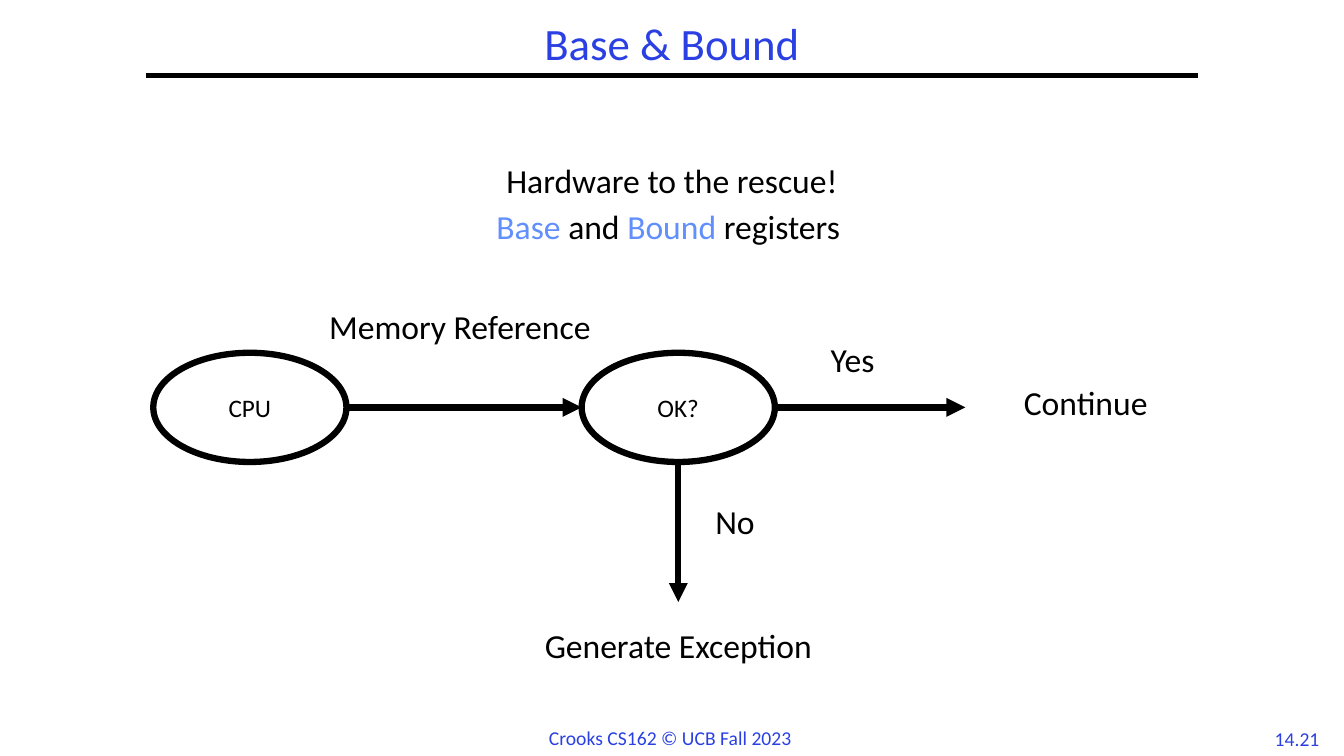
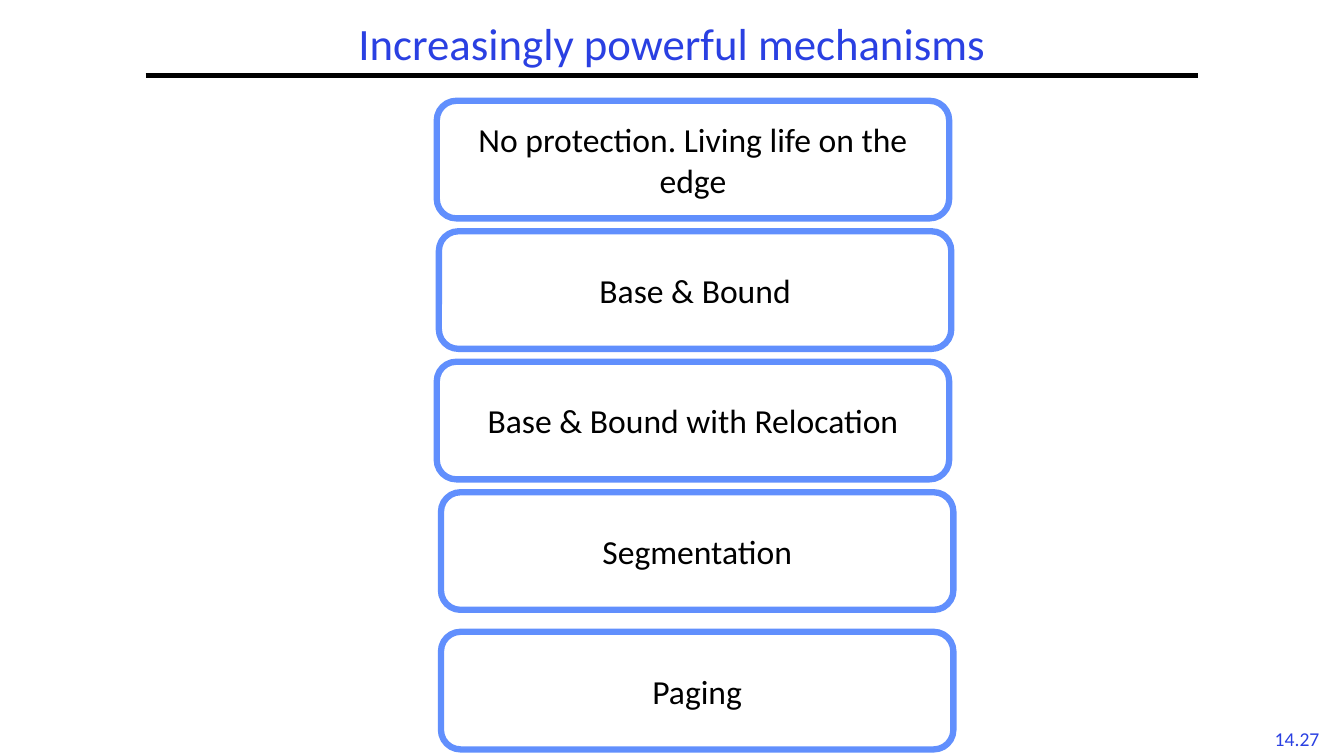
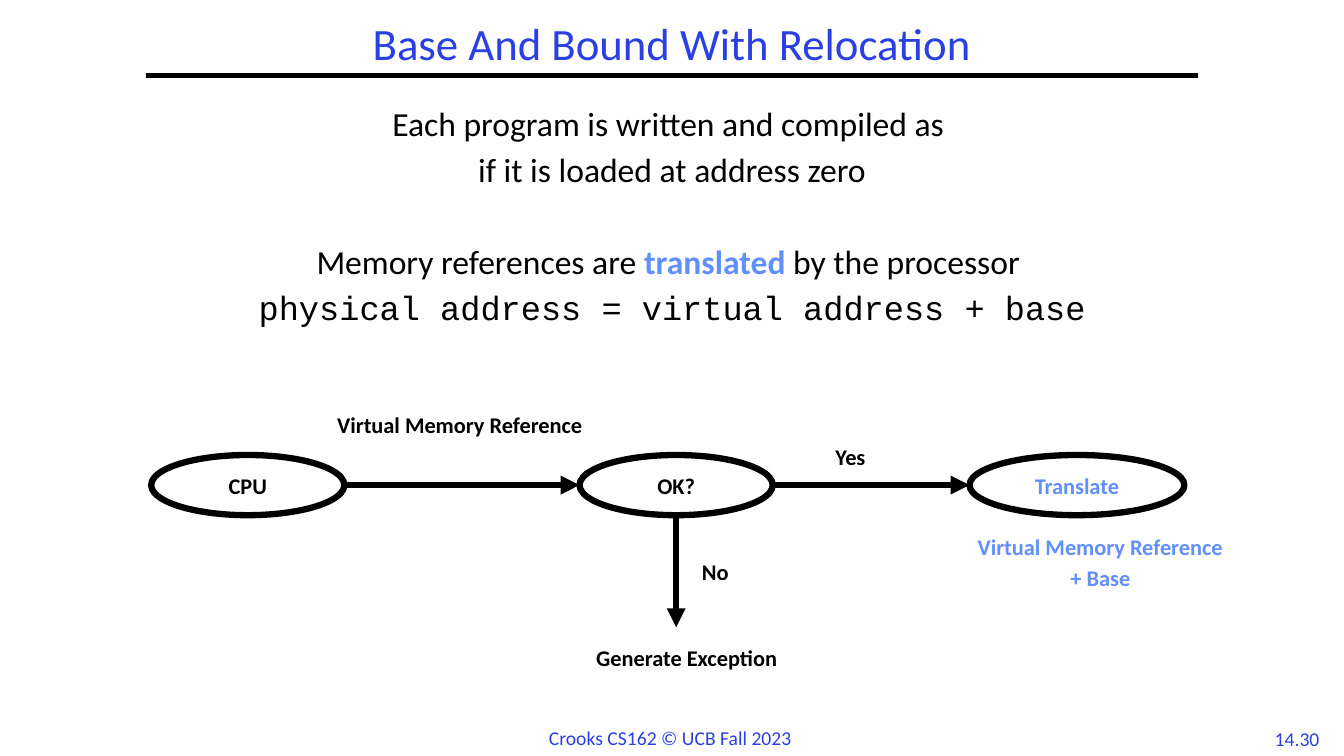
import pptx
import pptx.dml.color
import pptx.enum.shapes
import pptx.enum.text
import pptx.oxml
import pptx.oxml.ns
import pptx.util

Pt = pptx.util.Pt
Shape = pptx.enum.shapes.MSO_SHAPE
Anchor = pptx.enum.text.MSO_ANCHOR
Align = pptx.enum.text.PP_ALIGN

WIDTH, HEIGHT = 960, 540
BLACK, WHITE, BLUE, SKY = "000000", "FFFFFF", "2A40E2", "618FFD"
FONT, CODE_FONT = "Calibri", "Courier New"
OUTLINE = 4.5


def color(value):
    return pptx.dml.color.RGBColor.from_string(value)


# Text
def write(frame, paragraphs, size=24, ink=BLACK, bold=False, align=Align.CENTER,
          spacing=1, anchor=Anchor.TOP, wrap=True):
    """Fill a frame; a paragraph is a string or a list of (text, format) runs."""
    frame.word_wrap = wrap
    frame.vertical_anchor = anchor
    if isinstance(paragraphs, str):
        paragraphs = [paragraphs]
    for index, runs in enumerate(paragraphs):
        paragraph = frame.add_paragraph() if index else frame.paragraphs[0]
        paragraph.alignment = align
        paragraph.line_spacing = spacing
        paragraph.space_before = Pt(round(size * 0.28, 1) if index else 0)
        for text, style in [(runs, {})] if isinstance(runs, str) else runs:
            run = paragraph.add_run()
            run.text = text
            run.font.name = style.get("font", FONT)
            run.font.size = Pt(size)
            run.font.bold = style.get("bold", bold)
            run.font.color.rgb = color(style.get("ink", ink))


def add_text(slide, left, top, width, height, paragraphs, **style):
    box = slide.shapes.add_textbox(Pt(left), Pt(top), Pt(width), Pt(height))
    write(box.text_frame, paragraphs, **style)
    return box


# Shapes and lines
def add_node(slide, kind, left, top, width, height, text, outline=BLACK, **style):
    shape = slide.shapes.add_shape(kind, Pt(left), Pt(top), Pt(width), Pt(height))
    shape.shadow.inherit = False
    shape.fill.solid()
    shape.fill.fore_color.rgb = color(WHITE)
    shape.line.color.rgb = color(outline)
    shape.line.width = Pt(OUTLINE)
    write(shape.text_frame, text, anchor=Anchor.MIDDLE, **style)


def add_line(slide, x1, y1, x2, y2, weight=OUTLINE, arrow=False):
    connector = slide.shapes.add_connector(
        pptx.enum.shapes.MSO_CONNECTOR.STRAIGHT, Pt(x1), Pt(y1), Pt(x2), Pt(y2))
    connector.line.color.rgb = color(BLACK)
    connector.line.width = Pt(weight)
    properties = connector._element.spPr
    if arrow:
        head = pptx.oxml.parse_xml(
            f'<a:tailEnd {pptx.oxml.ns.nsdecls("a")} type="triangle"/>')
        connector.line._get_or_add_ln().append(head)
    properties.append(pptx.oxml.parse_xml(
        f'<a:effectLst {pptx.oxml.ns.nsdecls("a")}/>'))


# Title, rule and footer shared by the slides
def add_slide(presentation, title, number, footer=True):
    slide = presentation.slides.add_slide(presentation.slide_layouts[6])
    small = dict(size=14, ink=BLUE, wrap=False)
    add_text(slide, 902, 515.5, 49, 24, number, **small)
    add_line(slide, 104, 54, 856, 54, weight=3)
    if footer:
        add_text(slide, 385, 515, 189.5, 24, "Crooks CS162 © UCB Fall 2023",
                 align=Align.LEFT, **small)
    add_text(slide, 0, 12, WIDTH, 42, title, size=32, ink=BLUE, spacing=0.9,
             anchor=Anchor.MIDDLE)
    return slide


# Check diagram: CPU, test, exit to the right, exit downwards
def add_check_flow(slide, left, axis, node_height, right_exit, down_exit, labels,
                   target=None, **style):
    """Labels are (text, centre from left, top from axis, ink)."""
    node_width, step, label_width = 138, 306, 219
    top, bottom = axis - node_height / 2, axis + node_height / 2
    check = left + step
    check_right, check_middle = check + node_width, check + node_width / 2
    nodes = [("CPU", left, node_width, BLACK), ("OK?", check, node_width, BLACK)]
    if target:
        nodes.append((target, check_right + right_exit, 153.5, SKY))
    for text, x, width, ink in nodes:
        add_node(slide, Shape.OVAL, x, top, width, node_height, text, ink=ink,
                 size=style["node_size"], bold=style["bold"])
    for points in [(left + node_width, axis, check, axis),
                   (check_right, axis, check_right + right_exit, axis),
                   (check_middle, bottom, check_middle, bottom + down_exit)]:
        add_line(slide, *points, arrow=True)
    for text, center, offset, ink in labels:
        add_text(slide, left + center - label_width / 2, axis + offset,
                 label_width, 34.5, text, size=style["label_size"], ink=ink,
                 bold=style["bold"], spacing=0.9)


# Stack of rounded boxes
def add_stack(slide, left, top, rows):
    """Rows are (text, shift to the right, extra gap above)."""
    for text, shift, extra in rows:
        top += extra
        add_node(slide, Shape.ROUNDED_RECTANGLE, left + shift, top, 366, 84, text,
                 outline=SKY)
        top += 93.2


def build_base_and_bound(presentation):
    slide = add_slide(presentation, "Base & Bound", "14.21")
    add_text(slide, 75, 114, 810, 67, [
        "Hardware to the rescue!",
        [("Base ", {"ink": SKY}), ("and", {}), (" Bound ", {"ink": SKY}),
         ("registers ", {})]], spacing=0.9)
    add_check_flow(slide, 109.5, 291, 78, 136, 100, [
        ("Memory Reference", 219, -72.5, BLACK),
        ("Yes", 499.5, -49, BLACK),
        ("No", 415.5, 66.5, BLACK),
        ("Generate Exception", 375, 155, BLACK),
        ("Continue", 666, -18.5, BLACK)],
        node_size=18, label_size=24, bold=False)


def build_mechanisms(presentation):
    slide = add_slide(presentation, "Increasingly powerful mechanisms", "14.27",
                      footer=False)
    add_stack(slide, 312, 72, [
        ("No protection. Living life on the edge", 0, 0),
        ("Base & Bound", 1.5, 0),
        ("Base & Bound with Relocation", 0, 0),
        ("Segmentation", 3, 0),
        ("Paging", 3, 6.5)])


def build_relocation(presentation):
    slide = add_slide(presentation, "Base And Bound With Relocation", "14.30")
    body = add_text(slide, 64, 73.5, 832, 180, [
        "Each program is written and compiled as ",
        "if it is loaded at address zero",
        [("Memory references are ", {}),
         ("translated ", {"ink": SKY, "bold": True}), ("by the processor ", {})],
        [("physical address = virtual address + base", {"font": CODE_FONT})]],
        spacing=0.9)
    body.text_frame.paragraphs[2].space_before = Pt(40)
    add_check_flow(slide, 108, 346.5, 43, 140.5, 80, [
        ("Virtual Memory Reference", 220.5, -54.5, BLACK),
        ("Yes", 499.5, -31, BLACK),
        ("No", 403, 50.5, BLACK),
        ("Generate Exception", 382.5, 112.5, BLACK),
        (["Virtual Memory Reference", "+ Base"], 678, 33, SKY)],
        target="Translate", node_size=16, label_size=16, bold=True)


def main():
    presentation = pptx.Presentation()
    presentation.slide_width, presentation.slide_height = Pt(WIDTH), Pt(HEIGHT)
    build_base_and_bound(presentation)
    build_mechanisms(presentation)
    build_relocation(presentation)
    presentation.save("out.pptx")


if __name__ == "__main__":
    main()
